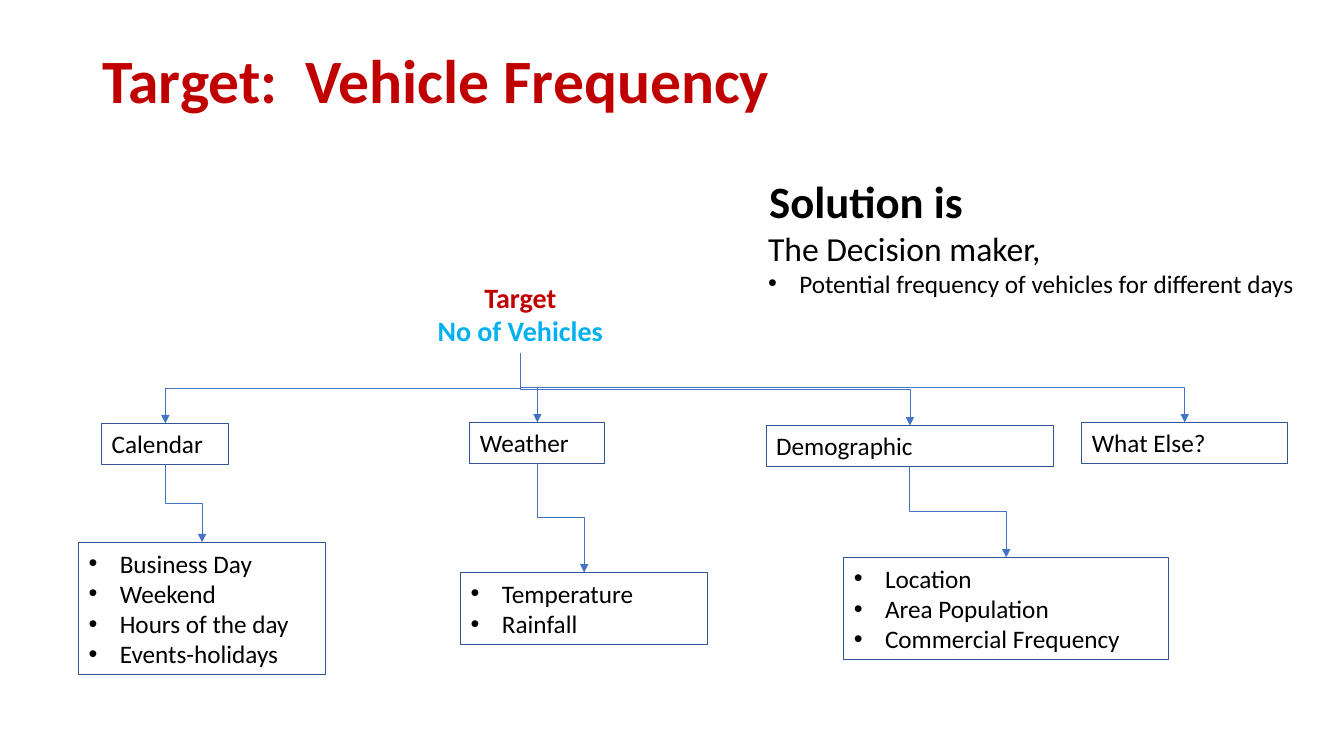
from lxml.etree import SubElement
from pptx import Presentation
from pptx.dml.color import RGBColor
from pptx.enum.shapes import MSO_CONNECTOR, MSO_SHAPE
from pptx.enum.text import MSO_ANCHOR, PP_ALIGN
from pptx.oxml.ns import qn
from pptx.util import Inches, Pt

COLORS = {"red": "C00000", "cyan": "00B0F0", "text": "000000",
          "border": "325491", "arrow": "4472C4"}
FONT = "Calibri"
SLIDE_W, SLIDE_H = Inches(13.33), Inches(7.5)
CATEGORY_H = 5.4

# Boxes are left, top, width, height in percent of the slide
TITLE_BOX = (6.9, 5.33, 86.27, 11.33)
HEADING_BOX = (56.49, 22.27, 23.1, 8.53)
DECISION_BOX = (56.41, 29.47, 41.94, 10.8)
TARGET_BOX = (30.61, 36.4, 16.2, 10.3)

# Category, its left, top and width, its factors and their box
BRANCHES = [
    ("Calendar", (7.58, 56, 9.45),
     ["Business Day", "Weekend", "Hours of the day", "Events-holidays"],
     (5.85, 71.73, 18.38, 17.47)),
    ("Weather", (34.96, 55.87, 10.05),
     ["Temperature", "Rainfall"], (34.28, 75.73, 18.38, 9.47)),
    ("Demographic", (57.01, 56.27, 21.38),
     ["Location", "Area Population", "Commercial Frequency"],
     (62.79, 73.73, 24.16, 13.47)),
    ("What Else?", (80.5, 55.87, 15.3), [], None),
]


def color(name):
    return RGBColor.from_string(COLORS[name])


def area(box):
    left, top, width, height = box
    return (int(SLIDE_W * left / 100), int(SLIDE_H * top / 100),
            int(SLIDE_W * width / 100), int(SLIDE_H * height / 100))


def write(paragraph, text, size, tint="text", bold=False, bullet=False,
          align=PP_ALIGN.LEFT):
    paragraph.text = text
    paragraph.alignment = align
    if bullet:
        properties = paragraph._p.get_or_add_pPr()
        properties.set("marL", str(Inches(0.31)))
        properties.set("indent", str(-Inches(0.31)))
        SubElement(properties, qn("a:buFont")).set("typeface", "Arial")
        SubElement(properties, qn("a:buChar")).set("char", "•")
    font = paragraph.font
    font.name, font.size, font.bold = FONT, Pt(size), bold
    font.color.rgb = color(tint)


def fill_lines(frame, lines):
    frame.word_wrap = True
    for index, (text, style) in enumerate(lines):
        paragraph = frame.add_paragraph() if index else frame.paragraphs[0]
        write(paragraph, text, **style)


def draw_title(slide, box):
    title = slide.shapes.title
    title.left, title.top, title.width, title.height = area(box)
    title.text_frame.vertical_anchor = MSO_ANCHOR.MIDDLE
    heading = title.text_frame.paragraphs[0]
    heading.line_spacing = 0.9
    write(heading, "Target:  Vehicle Frequency", 44, "red", bold=True)


def draw_text(slide, box, lines):
    text = slide.shapes.add_textbox(*area(box))
    fill_lines(text.text_frame, lines)
    return text


def draw_node(slide, box, texts, bullet=False):
    node = slide.shapes.add_shape(MSO_SHAPE.RECTANGLE, *area(box))
    node.shadow.inherit = False
    node.fill.background()
    node.line.color.rgb = color("border")
    node.line.width = Pt(0.75)
    fill_lines(node.text_frame,
               [(text, {"size": 18, "bullet": bullet}) for text in texts])
    return node


def draw_arrow(slide, parent, child):
    """Elbow from the parent's bottom centre down to the child's top centre."""
    start_x, start_y = parent.left + parent.width // 2, parent.top + parent.height
    end_x, end_y = child.left + child.width // 2, child.top
    # The elbow is laid out sideways about its centre, then turned upright
    center_x, center_y = (start_x + end_x) // 2, (start_y + end_y) // 2
    half_run, half_rise = (end_y - start_y) // 2, abs(end_x - start_x) // 2
    arrow = slide.shapes.add_connector(
        MSO_CONNECTOR.ELBOW, center_x - half_run, center_y - half_rise,
        center_x + half_run, center_y + half_rise)
    properties = arrow._element.spPr
    turn = properties.find(qn("a:xfrm"))
    if end_x > start_x:
        turn.set("rot", str(270 * 60000))
        turn.set("flipH", "1")
    else:
        turn.set("rot", str(90 * 60000))
    arrow.line.color.rgb = color("arrow")
    arrow.line.width = Pt(0.5)
    SubElement(properties.find(qn("a:ln")), qn("a:tailEnd")).set("type", "triangle")
    SubElement(properties, qn("a:effectLst"))


def draw_solution(slide, heading_box, decision_box):
    draw_text(slide, heading_box, [("Solution is", {"size": 32, "bold": True})])
    draw_text(slide, decision_box, [
        ("The Decision maker,", {"size": 24}),
        ("Potential frequency of vehicles for different days",
         {"size": 18, "bullet": True})])


def draw_tree(slide, target_box):
    centered = {"size": 20, "bold": True, "align": PP_ALIGN.CENTER}
    target = draw_text(slide, target_box, [
        ("Target", {**centered, "tint": "red"}),
        ("No of Vehicles", {**centered, "tint": "cyan"})])
    for name, place, factors, factors_box in BRANCHES:
        category = draw_node(slide, (*place, CATEGORY_H), [name])
        draw_arrow(slide, target, category)
        if factors:
            details = draw_node(slide, factors_box, factors, bullet=True)
            draw_arrow(slide, category, details)


def main():
    deck = Presentation()
    deck.slide_width, deck.slide_height = SLIDE_W, SLIDE_H
    slide = deck.slides.add_slide(deck.slide_layouts[5])
    draw_title(slide, TITLE_BOX)
    draw_solution(slide, HEADING_BOX, DECISION_BOX)
    draw_tree(slide, TARGET_BOX)
    deck.save("out.pptx")


if __name__ == "__main__":
    main()
